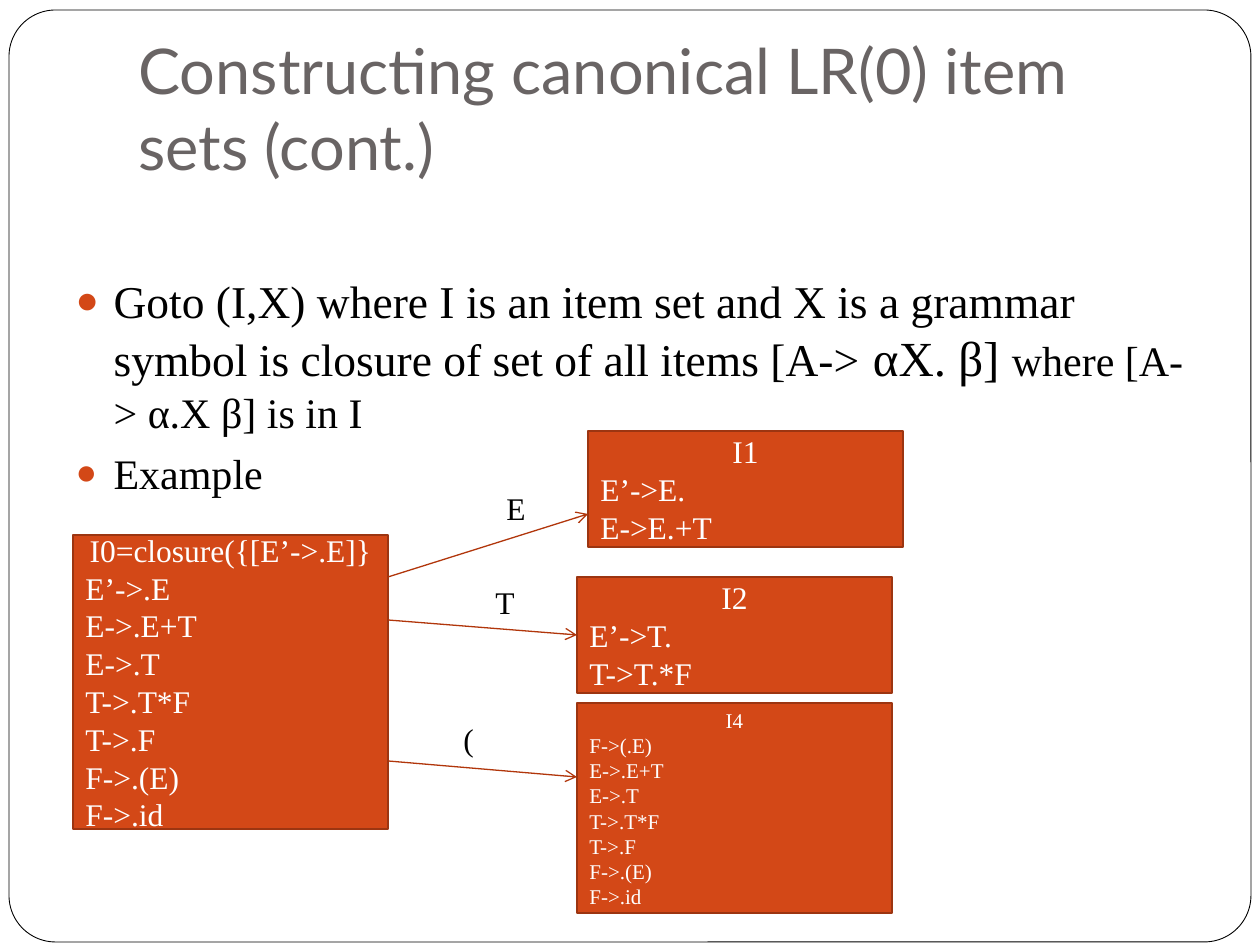
from typing import NamedTuple

from lxml import etree
from pptx import Presentation
from pptx.dml.color import RGBColor
from pptx.enum.shapes import MSO_CONNECTOR, MSO_SHAPE
from pptx.enum.text import MSO_ANCHOR, MSO_AUTO_SIZE, PP_ALIGN
from pptx.oxml.ns import qn
from pptx.util import Emu, Pt

PX_PER_INCH = 126
SERIF = "Times New Roman"
BLACK = RGBColor(0x00, 0x00, 0x00)
WHITE = RGBColor(0xFF, 0xFF, 0xFF)
GRAY = RGBColor(0x69, 0x64, 0x64)
ORANGE = RGBColor(0xD3, 0x48, 0x17)
BOX_EDGE = RGBColor(0x9C, 0x35, 0x11)
ARROW = RGBColor(0xB1, 0x36, 0x0B)
BOX_WIDTH = 315
BULLET_INDENT = 38


class ItemSet(NamedTuple):
    left: int
    top: int
    height: int
    size: int
    name: str
    items: list[str]


class Transition(NamedTuple):
    symbol: str
    start: tuple[int, int]
    end: tuple[int, int]
    label_at: tuple[int, int]
    label_width: int


EXPANSION = ["E->.E+T", "E->.T", "T->.T*F", "T->.F", "F->.(E)", "F->.id"]
ITEM_SETS = [
    ItemSet(73, 535, 294, 18, "I0=closure({[E’->.E]}", ["E’->.E", *EXPANSION]),
    ItemSet(588, 431, 116, 18, "I1", ["E’->E.", "E->E.+T"]),
    ItemSet(577, 577, 116, 18, "I2", ["E’->T.", "T->T.*F"]),
    ItemSet(577, 703, 210, 12, "I4", ["F->(.E)", *EXPANSION]),
]
TRANSITIONS = [
    Transition("E", (388, 577), (588, 514), (494, 483), 52),
    Transition("T", (388, 620), (577, 635), (483, 577), 52),
    Transition("(", (388, 761), (577, 777), (451, 714), 39),
]
DEFINITION = [
    ("Goto (I,X) where I is an item set and X is a grammar symbol is closure "
     "of set of all items [A->", 26),
    (" αX. β] ", 28),
    ("where [A-> α.X β] is in I", 24),
]
BULLETS = [DEFINITION, [("Example", 24)]]


def px(length: int) -> Emu:
    return Emu(round(length * 914400 / PX_PER_INCH))


def place(shape, left: int, top: int, width: int, height: int) -> None:
    shape.left, shape.top = px(left), px(top)
    shape.width, shape.height = px(width), px(height)


def style(font, size: int, color: RGBColor, name: str = SERIF) -> None:
    font.size, font.name = Pt(size), name
    font.color.rgb = color


def add_bullet(paragraph) -> None:
    properties = paragraph._p.get_or_add_pPr()
    properties.set("marL", str(px(BULLET_INDENT)))
    properties.set("indent", str(px(-BULLET_INDENT)))
    color = etree.SubElement(properties, qn("a:buClr"))
    etree.SubElement(color, qn("a:srgbClr"), val=str(ORANGE))
    etree.SubElement(properties, qn("a:buSzPct"), val="85000")
    etree.SubElement(properties, qn("a:buChar"), char="●")


def draw_frame(slide) -> None:
    frame = slide.shapes.add_shape(
        MSO_SHAPE.ROUNDED_RECTANGLE, px(9), px(10), px(1242), px(932))
    frame.adjustments[0] = 0.05
    frame.shadow.inherit = False
    frame.fill.background()
    frame.line.color.rgb = BLACK
    frame.line.width = Pt(0.5)


def fill_title(title) -> None:
    place(title, 126, 38, 1071, 158)
    frame = title.text_frame
    frame.text = "Constructing canonical LR(0) item sets (cont.)"
    frame.auto_size = MSO_AUTO_SIZE.NONE
    frame.vertical_anchor = MSO_ANCHOR.BOTTOM
    frame.margin_bottom = px(13)
    heading = frame.paragraphs[0]
    heading.alignment = PP_ALIGN.LEFT
    style(heading.runs[0].font, 36, GRAY, "Lato")


def fill_body(body) -> None:
    place(body, 63, 267, 1134, 237)
    frame = body.text_frame
    frame.auto_size = MSO_AUTO_SIZE.NONE
    for index, pieces in enumerate(BULLETS):
        paragraph = frame.add_paragraph() if index else frame.paragraphs[0]
        add_bullet(paragraph)
        paragraph.space_before = Pt(5.8 if index else 0)
        for text, size in pieces:
            run = paragraph.add_run()
            run.text = text
            style(run.font, size, BLACK)


def draw_item_set(slide, item_set: ItemSet) -> None:
    box = slide.shapes.add_shape(
        MSO_SHAPE.RECTANGLE, px(item_set.left), px(item_set.top),
        px(BOX_WIDTH), px(item_set.height))
    box.shadow.inherit = False
    box.fill.solid()
    box.fill.fore_color.rgb = ORANGE
    box.line.color.rgb = BOX_EDGE
    box.line.width = Pt(1)
    frame = box.text_frame
    frame.word_wrap = True
    frame.vertical_anchor = MSO_ANCHOR.MIDDLE
    frame.text = "\n".join([item_set.name, *item_set.items])
    for index, paragraph in enumerate(frame.paragraphs):
        paragraph.alignment = PP_ALIGN.LEFT if index else PP_ALIGN.CENTER
        style(paragraph.runs[0].font, item_set.size, WHITE)


def draw_transition(slide, transition: Transition) -> None:
    ends = [px(length) for length in (*transition.start, *transition.end)]
    arrow = slide.shapes.add_connector(MSO_CONNECTOR.STRAIGHT, *ends)
    arrow.line.color.rgb = ARROW
    arrow.line.width = Pt(0.75)
    etree.SubElement(arrow.line._get_or_add_ln(), qn("a:tailEnd"), type="arrow")
    etree.SubElement(arrow._element.spPr, qn("a:effectLst"))

    left, top = transition.label_at
    label = slide.shapes.add_textbox(
        px(left), px(top), px(transition.label_width), px(64))
    frame = label.text_frame
    frame.word_wrap = False
    frame.auto_size = MSO_AUTO_SIZE.SHAPE_TO_FIT_TEXT
    frame.text = transition.symbol
    style(frame.paragraphs[0].runs[0].font, 18, BLACK)


def main() -> None:
    presentation = Presentation()
    presentation.slide_width, presentation.slide_height = px(1260), px(945)
    slide = presentation.slides.add_slide(presentation.slide_layouts[1])
    draw_frame(slide)
    fill_title(slide.shapes.title)
    fill_body(slide.placeholders[1])
    for item_set in ITEM_SETS:
        draw_item_set(slide, item_set)
    for transition in TRANSITIONS:
        draw_transition(slide, transition)
    presentation.save("out.pptx")


if __name__ == "__main__":
    main()
